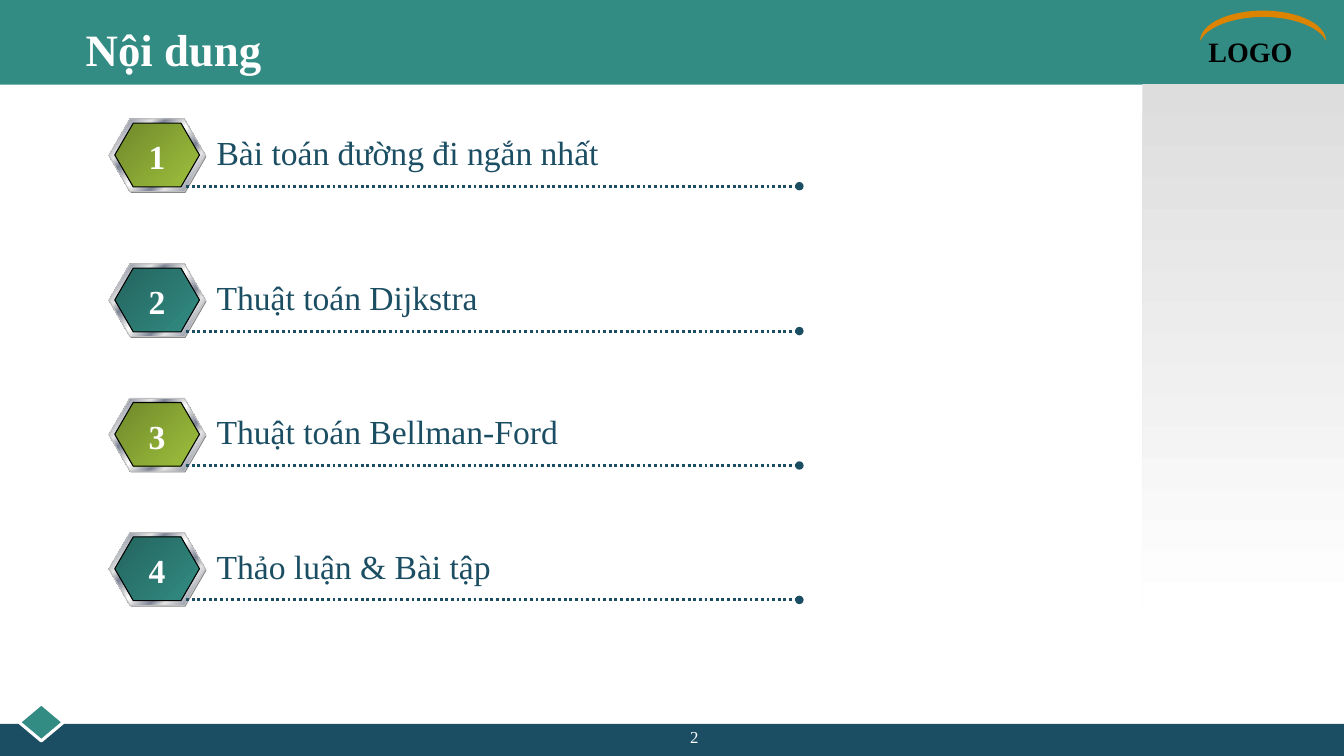
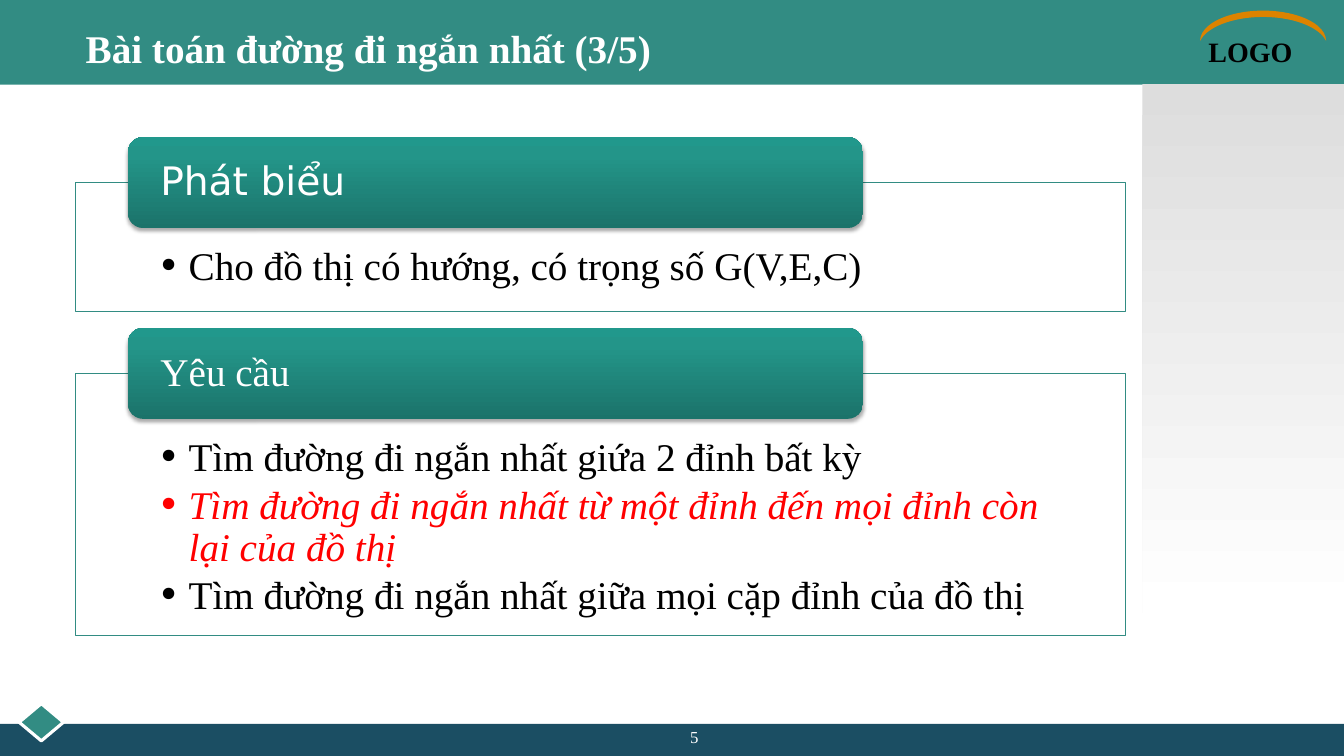
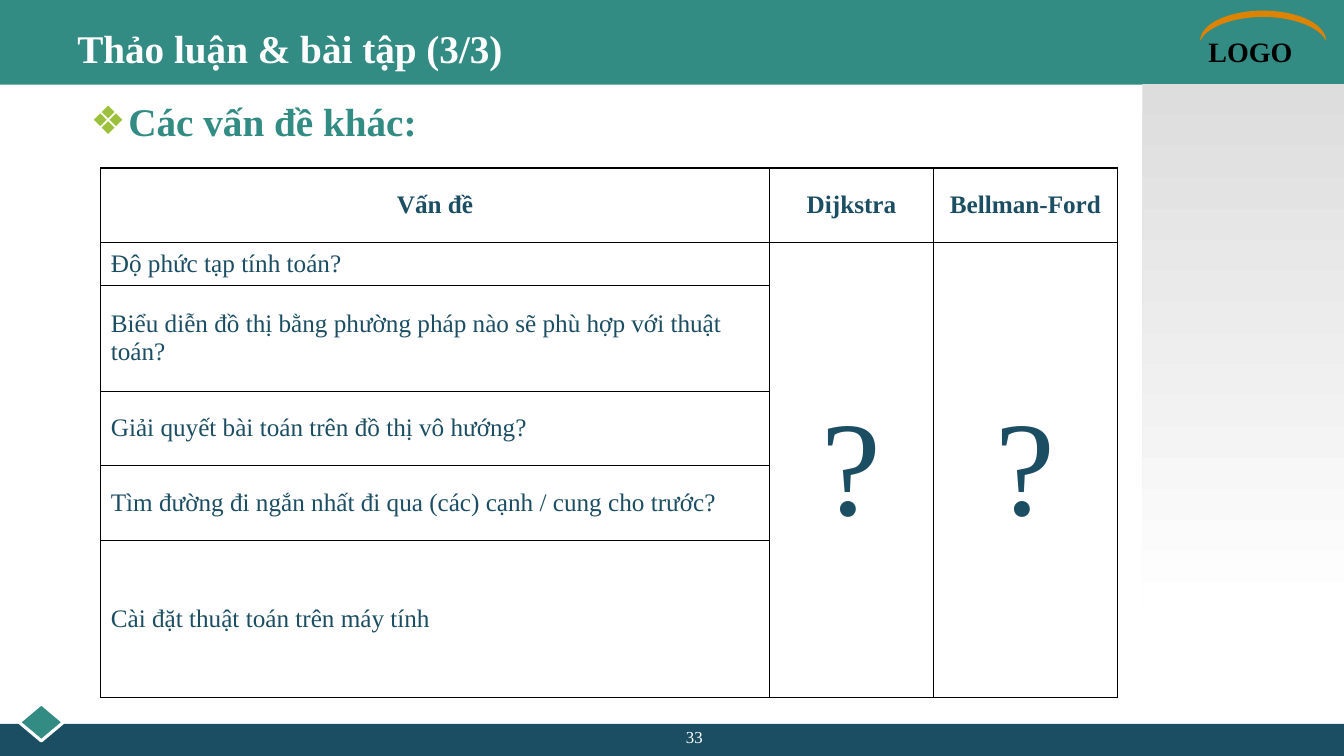
from dataclasses import dataclass

from lxml.etree import SubElement
from pptx import Presentation
from pptx.dml.color import RGBColor
from pptx.enum.dml import MSO_LINE
from pptx.enum.shapes import MSO_CONNECTOR, MSO_SHAPE
from pptx.enum.text import MSO_ANCHOR, MSO_AUTO_SIZE, PP_ALIGN
from pptx.oxml.ns import qn
from pptx.util import Pt

RECT, ROUNDED = MSO_SHAPE.RECTANGLE, MSO_SHAPE.ROUNDED_RECTANGLE
DIAMOND, MOON, HEXAGON = MSO_SHAPE.DIAMOND, MSO_SHAPE.MOON, MSO_SHAPE.HEXAGON
STRAIGHT = MSO_CONNECTOR.STRAIGHT
DOTTED = MSO_LINE.ROUND_DOT
LEFT, CENTER = PP_ALIGN.LEFT, PP_ALIGN.CENTER
TOP, MIDDLE = MSO_ANCHOR.TOP, MSO_ANCHOR.MIDDLE
NO_FIT = MSO_AUTO_SIZE.NONE
TITLE_ONLY = 5


@dataclass(frozen=True)
class Theme:
    font: str = "Times New Roman"
    plain_font: str = "DejaVu Sans"
    teal: str = "328C83"
    navy: str = "1B4E63"
    white: str = "FFFFFF"
    black: str = "000000"
    red: str = "FF0000"
    orange: str = "DC8300"
    lime: str = "9DC03C"
    shade: str = "808080"
    rim: str = "C0C0C0"
    panel: tuple = ((0, "DDDDDD"), (100, "FFFFFF"))
    bar: tuple = ((0, "1B736A"), (80, "239589"), (100, "21988C"))
    green_badge: tuple = ((0, "70892B"), (100, "9DC03C"))
    teal_badge: tuple = ((0, "24645E"), (100, "328C83"))
    metal: tuple = (
        (0, "E6E6E6"), (7, "7D8496"), (26, "E6E6E6"), (34, "7D8496"),
        (46, "E6E6E6"), (50, "FFFFFF"), (54, "E6E6E6"), (66, "7D8496"),
        (74, "E6E6E6"), (93, "7D8496"), (100, "E6E6E6"))
    title_size: int = 32
    heading_size: int = 28
    item_size: int = 24
    logo_size: int = 20
    cell_size: int = 18
    page_size: int = 12
    mark_size: int = 96


THEME = Theme()


def apply(target, **values):
    for name, value in values.items():
        setattr(target, name, value)


def add_xml(parent, tag, **attributes):
    return SubElement(parent, qn(tag), {k: str(v) for k, v in attributes.items()})


class Deck:
    def __init__(self, theme):
        self.theme = theme
        self.deck = Presentation()
        apply(self.deck, slide_width=Pt(960), slide_height=Pt(540))
        self.slide = None

    def start(self, title, page, size, left=54, width=750):
        t = self.theme
        self.slide = self.deck.slides.add_slide(self.deck.slide_layouts[TITLE_ONLY])
        self.shape(RECT, (0, 0, 960, 60.5), t.teal)
        self.shape(RECT, (0, 517, 960, 23), t.navy)
        self.shape(DIAMOND, (13.7, 502.6, 31.7, 26.6), t.teal, t.white, 2.25)
        self.text((856, 21, 104, 31), "LOGO", size=t.logo_size, color=t.black, bold=True)
        arc = self.shape(MOON, (891.4, -26.6, 21.6, 90), t.orange)
        arc.rotation = 90
        arc.adjustments[0] = 0.21
        self.shape(RECT, (816, 60, 144, 378), t.panel, angle=90)
        self.text((384, 515.5, 224, 19), str(page), size=t.page_size,
                  color=t.white, align=CENTER)
        heading = self.slide.shapes.title
        self.place(heading, (left, 12, width, 45))
        self.frame(heading.text_frame, anchor=MIDDLE)
        self.put_run(heading.text_frame.paragraphs[0], title, size=size,
                     color=t.white, bold=True)
        self.slide.shapes._spTree.append(heading._element)

    def place(self, shape, box):
        apply(shape, **{name: Pt(value) for name, value
                        in zip(("left", "top", "width", "height"), box)})

    def frame(self, frame, anchor=TOP, insets=(7.2, 3.6, 7.2, 3.6)):
        sides = ("margin_left", "margin_top", "margin_right", "margin_bottom")
        apply(frame, word_wrap=True, auto_size=NO_FIT, vertical_anchor=anchor,
              **{side: Pt(inset) for side, inset in zip(sides, insets)})

    def put_run(self, paragraph, text, size, color, bold=False, italic=False,
                align=LEFT, font=None):
        paragraph.alignment = align
        run = paragraph.add_run()
        run.text = text
        apply(run.font, name=font or self.theme.font, size=Pt(size),
              bold=bold, italic=italic)
        run.font.color.rgb = RGBColor.from_string(color)

    def bullet(self, paragraph, mark, indent, color=None):
        properties = paragraph._p.get_or_add_pPr()
        properties.set("marL", str(Pt(indent)))
        properties.set("indent", str(-Pt(indent)))
        if color:
            add_xml(add_xml(properties, "a:buClr"), "a:srgbClr", val=color)
        add_xml(properties, "a:buFont", typeface=self.theme.plain_font)
        add_xml(properties, "a:buChar", char=mark)

    def text(self, box, text, **style):
        label = self.slide.shapes.add_textbox(*map(Pt, box))
        self.frame(label.text_frame)
        paragraph = label.text_frame.paragraphs[0]
        self.put_run(paragraph, text, **style)
        return paragraph

    def shape(self, kind, box, fill, line=None, weight=0.75, angle=45):
        shape = self.slide.shapes.add_shape(kind, *map(Pt, box))
        shape.shadow.inherit = False
        if isinstance(fill, str):
            shape.fill.solid()
            shape.fill.fore_color.rgb = RGBColor.from_string(fill)
        else:
            shape.fill.gradient()
            shape.fill.gradient_angle = 360 - angle
            stops = shape._element.spPr.find(qn("a:gradFill")).find(qn("a:gsLst"))
            for stop in list(stops):
                stops.remove(stop)
            for position, color in fill:
                stop = add_xml(stops, "a:gs", pos=position * 1000)
                add_xml(stop, "a:srgbClr", val=color)
        if line:
            shape.line.color.rgb = RGBColor.from_string(line)
            shape.line.width = Pt(weight)
        else:
            shape.line.fill.background()
        return shape

    def hexagon(self, box, fill, line=None):
        shape = self.shape(HEXAGON, box, fill, line)
        shape.adjustments[0] = 0.29
        return shape

    def dotted_line(self, left, right, y):
        rule = self.slide.shapes.add_connector(STRAIGHT, Pt(left), Pt(y), Pt(right), Pt(y))
        rule.line.color.rgb = RGBColor.from_string(self.theme.navy)
        apply(rule.line, width=Pt(2), dash_style=DOTTED)
        properties = rule._element.spPr
        add_xml(properties.find(qn("a:ln")), "a:tailEnd", type="oval")
        add_xml(properties, "a:effectLst")

    def agenda_item(self, number, topic, top):
        t = self.theme
        self.hexagon((78.5, top + 0.9, 69, 52), t.shade)
        self.hexagon((77.8, top, 69, 52), t.metal, t.rim)
        fill = t.green_badge if number % 2 else t.teal_badge
        badge = self.hexagon((82, top + 3, 60.5, 45.5), fill, t.black)
        self.frame(badge.text_frame, MIDDLE, (0, 2, 0, 0))
        self.put_run(badge.text_frame.paragraphs[0], str(number), size=t.item_size,
                     color=t.white, bold=True, align=CENTER)
        self.dotted_line(133, 571, top + 48)
        self.text((147.6, top + 5.8, 420, 36), topic, size=t.item_size, color=t.navy)

    def section(self, top, height, heading, points, font=None):
        t = self.theme
        panel = self.shape(RECT, (54, top, 750, height), t.white, t.teal)
        color = panel._element.spPr.find(qn("a:solidFill")).find(qn("a:srgbClr"))
        add_xml(color, "a:alpha", val=90000)
        self.frame(panel.text_frame, TOP, (58.3, 46, 58.3, 15.8))
        for index, (point, stressed) in enumerate(points):
            frame = panel.text_frame
            paragraph = frame.add_paragraph() if index else frame.paragraphs[0]
            apply(paragraph, level=1, line_spacing=0.9, space_after=Pt(4))
            self.bullet(paragraph, "•", 22.5)
            self.put_run(paragraph, point, size=t.heading_size,
                         color=t.red if stressed else t.black, italic=stressed)
        bar = self.shape(ROUNDED, (91.4, top - 32.5, 525, 65), t.bar, angle=270)
        glow = add_xml(bar._element.spPr.find(qn("a:effectLst")), "a:outerShdw",
                       blurRad=Pt(3.1), dist=Pt(1.8), dir=5400000, rotWithShape=0)
        add_xml(add_xml(glow, "a:srgbClr", val=t.black), "a:alpha", val=35000)
        self.frame(bar.text_frame, MIDDLE, (20, 0, 20, 0))
        title = bar.text_frame.paragraphs[0]
        title.line_spacing = 0.9
        self.put_run(title, heading, size=t.heading_size, color=t.white, font=font)

    def cell_style(self, cell):
        cell.vertical_anchor = MIDDLE
        properties = cell._tc.get_or_add_tcPr()
        for side in ("a:lnL", "a:lnR", "a:lnT", "a:lnB"):
            border = add_xml(properties, side, w=Pt(1))
            fill = add_xml(border, "a:solidFill")
            add_xml(fill, "a:srgbClr", val=self.theme.black)
        cell.fill.background()

    def question_table(self, left, top, widths, heights, headers, questions):
        t = self.theme
        table = self.slide.shapes.add_table(
            len(heights), len(widths), Pt(left), Pt(top),
            Pt(sum(widths)), Pt(sum(heights))).table
        apply(table, first_row=False, horz_banding=False)
        for column, width in zip(table.columns, widths):
            column.width = Pt(width)
        for row, height in zip(table.rows, heights):
            row.height = Pt(height)
        for cell in table.iter_cells():
            self.cell_style(cell)
        for column, header in enumerate(headers):
            self.put_run(table.cell(0, column).text_frame.paragraphs[0], header,
                         size=t.cell_size, color=t.navy, bold=True, align=CENTER)
        for row, question in enumerate(questions, 1):
            self.put_run(table.cell(row, 0).text_frame.paragraphs[0], question,
                         size=t.cell_size, color=t.navy)
        for column in range(1, len(headers)):
            answer = table.cell(1, column)
            answer.merge(table.cell(len(questions), column))
            self.put_run(answer.text_frame.paragraphs[0], "?", size=t.mark_size,
                         color=t.navy, align=CENTER)


def main():
    deck = Deck(THEME)

    deck.start("Nội dung", 2, THEME.title_size)
    topics = ("Bài toán đường đi ngắn nhất", "Thuật toán Dijkstra",
              "Thuật toán Bellman-Ford", "Thảo luận & Bài tập")
    tops = (85, 188.5, 284.5, 380.5)
    for number, (topic, top) in enumerate(zip(topics, tops), 1):
        deck.agenda_item(number, topic, top)

    deck.start("Bài toán đường đi ngắn nhất (3/5)", 5, THEME.heading_size)
    deck.section(130.4, 92, "Phát biểu",
                 [("Cho đồ thị có hướng, có trọng số G(V,E,C)", False)],
                 THEME.plain_font)
    deck.section(266.7, 187, "Yêu cầu", [
        ("Tìm đường đi ngắn nhất giứa 2 đỉnh bất kỳ", False),
        ("Tìm đường đi ngắn nhất từ một đỉnh đến mọi đỉnh còn lại của đồ thị", True),
        ("Tìm đường đi ngắn nhất giữa mọi cặp đỉnh của đồ thị", False)])

    deck.start("Thảo luận & bài tập (3/3)", 33, THEME.heading_size, 48, 864)
    subject = deck.text((57.6, 66, 746.5, 41), "Các vấn đề khác:",
                        size=THEME.heading_size, color=THEME.teal, bold=True)
    deck.bullet(subject, "❖", 27, THEME.lime)
    deck.question_table(
        72, 120, (477.5, 117.5, 131), (53, 31, 75.5, 53, 53.5, 112.5),
        ("Vấn đề", "Dijkstra", "Bellman-Ford"),
        ("Độ phức tạp tính toán?",
         "Biểu diễn đồ thị bằng phường pháp nào sẽ phù hợp với thuật toán?",
         "Giải quyết bài toán trên đồ thị vô hướng?",
         "Tìm đường đi ngắn nhất đi qua (các) cạnh / cung cho trước?",
         "Cài đặt thuật toán trên máy tính"))

    deck.deck.save("out.pptx")


if __name__ == "__main__":
    main()
